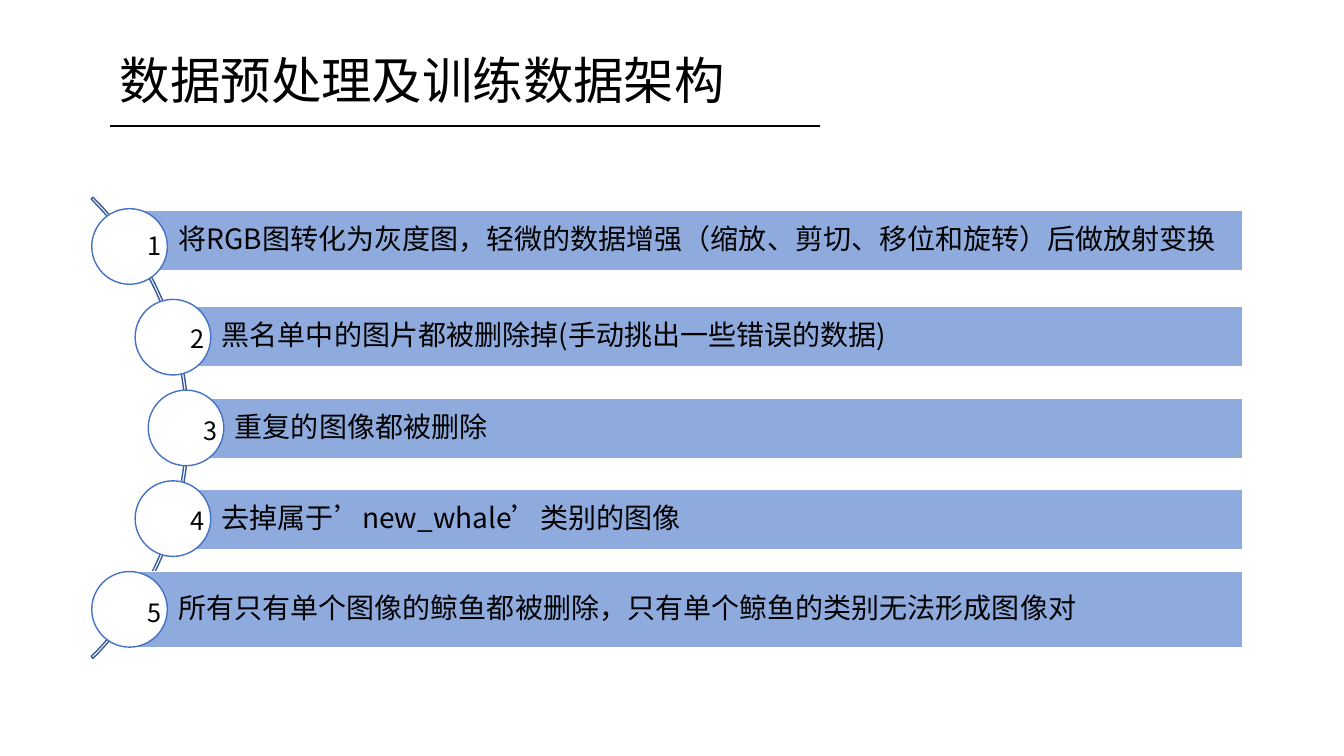
from dataclasses import dataclass

from lxml import etree
from pptx import Presentation
from pptx import util as u
from pptx.dml.color import RGBColor
from pptx.enum import shapes, text
from pptx.oxml import ns

PX = u.Inches(1) // 100


@dataclass(frozen=True)
class Theme:
    font: str = "Noto Sans CJK SC"
    ink: str = "000000"
    paper: str = "FFFFFF"
    bar: str = "8FAADC"
    ring: str = "4472C4"
    arc: str = "365B9D"
    title: int = 36
    body: int = 20
    digit: int = 18


@dataclass(frozen=True)
class Step:
    words: str
    left: int
    top: int
    rise: int
    high: int = 60
    lead: float | u.Pt = 0.9


THEME = Theme()
RIGHT = 1233
RING = 75
FIRST, PITCH = 207, 90
STEPS = (
    Step("将RGB图转化为灰度图，轻微的数据增强（缩放、剪切、移位和旋转）后做放射变换", 91, 209, 17),
    Step("黑名单中的图片都被删除掉(手动挑出一些错误的数据)", 134, 304, 19),
    Step("重复的图像都被删除", 147, 395, 20),
    Step("去掉属于’new_whale’类别的图像", 134, 485, 19),
    Step("所有只有单个图像的鲸鱼都被删除，只有单个鲸鱼的类别无法形成图像对", 91, 567, 21, 76, u.Pt(20)),
)


def box(*sides: int) -> list[int]:
    """Turn px lengths into EMU."""
    return [side * PX for side in sides]


def write(para, words: str, size: int) -> None:
    run = para.add_run()
    run.text = words
    run.font.size = u.Pt(size)
    run.font.name = THEME.font
    run.font.color.rgb = RGBColor.from_string(THEME.ink)
    east = etree.SubElement(run.font._element, ns.qn("a:ea"))
    east.set("typeface", THEME.font)


def label(slide, sides: tuple[int, ...], words: str, size: int) -> None:
    frame = slide.shapes.add_textbox(*box(*sides)).text_frame
    frame.word_wrap = True
    frame.auto_size = text.MSO_AUTO_SIZE.SHAPE_TO_FIT_TEXT
    write(frame.paragraphs[0], words, size)


def draw(slide, kind, sides: tuple[int, ...], line: str, fill: str | None = None):
    """Add a preset shape without shadow."""
    shape = slide.shapes.add_shape(kind, *box(*sides))
    shape.shadow.inherit = False
    if fill:
        shape.fill.solid()
        shape.fill.fore_color.rgb = RGBColor.from_string(fill)
    else:
        shape.fill.background()
    shape.line.color.rgb = RGBColor.from_string(line)
    shape.line.width = u.Pt(1)
    return shape


def add_bar(slide, step: Step) -> None:
    left = step.left + RING // 2 + 1
    sides = (left, step.top, RIGHT - left, step.high)
    bar = draw(slide, shapes.MSO_SHAPE.RECTANGLE, sides, THEME.paper, THEME.bar)
    frame = bar.text_frame
    frame.word_wrap = True
    frame.vertical_anchor = text.MSO_ANCHOR.MIDDLE
    frame.margin_left = 48 * PX
    frame.margin_top = frame.margin_right = frame.margin_bottom = 6 * PX
    para = frame.paragraphs[0]
    para.alignment = text.PP_ALIGN.LEFT
    para.line_spacing = step.lead
    para.space_after = u.Pt(7)
    write(para, step.words, THEME.body)


def add_rule(slide) -> None:
    rule = slide.shapes.add_connector(
        shapes.MSO_CONNECTOR.STRAIGHT, *box(109, 125, 813, 125)
    )
    rule.line.color.rgb = RGBColor.from_string(THEME.ink)
    rule.line.width = u.Pt(1.25)
    etree.SubElement(rule._element.spPr, ns.qn("a:effectLst"))


def main() -> None:
    deck = Presentation()
    deck.slide_width, deck.slide_height = box(1333, 750)
    slide = deck.slides.add_slide(deck.slide_layouts[6])

    label(slide, (109, 44, 704, 71), "数据预处理及训练数据架构", THEME.title)
    arc = draw(slide, shapes.MSO_SHAPE.BLOCK_ARC, (-460, 101, 647, 647), THEME.arc)
    for index, value in enumerate((189, 27, 0.004)):
        arc.adjustments[index] = value

    for index, step in enumerate(STEPS):
        top = FIRST + index * PITCH
        add_bar(slide, step)
        sides = (step.left, top, RING, RING)
        draw(slide, shapes.MSO_SHAPE.OVAL, sides, THEME.ring, THEME.paper)
        spot = (step.left + 45, top + step.rise, 45, 40)
        label(slide, spot, str(index + 1), THEME.digit)

    add_rule(slide)
    deck.save("out.pptx")


if __name__ == "__main__":
    main()
